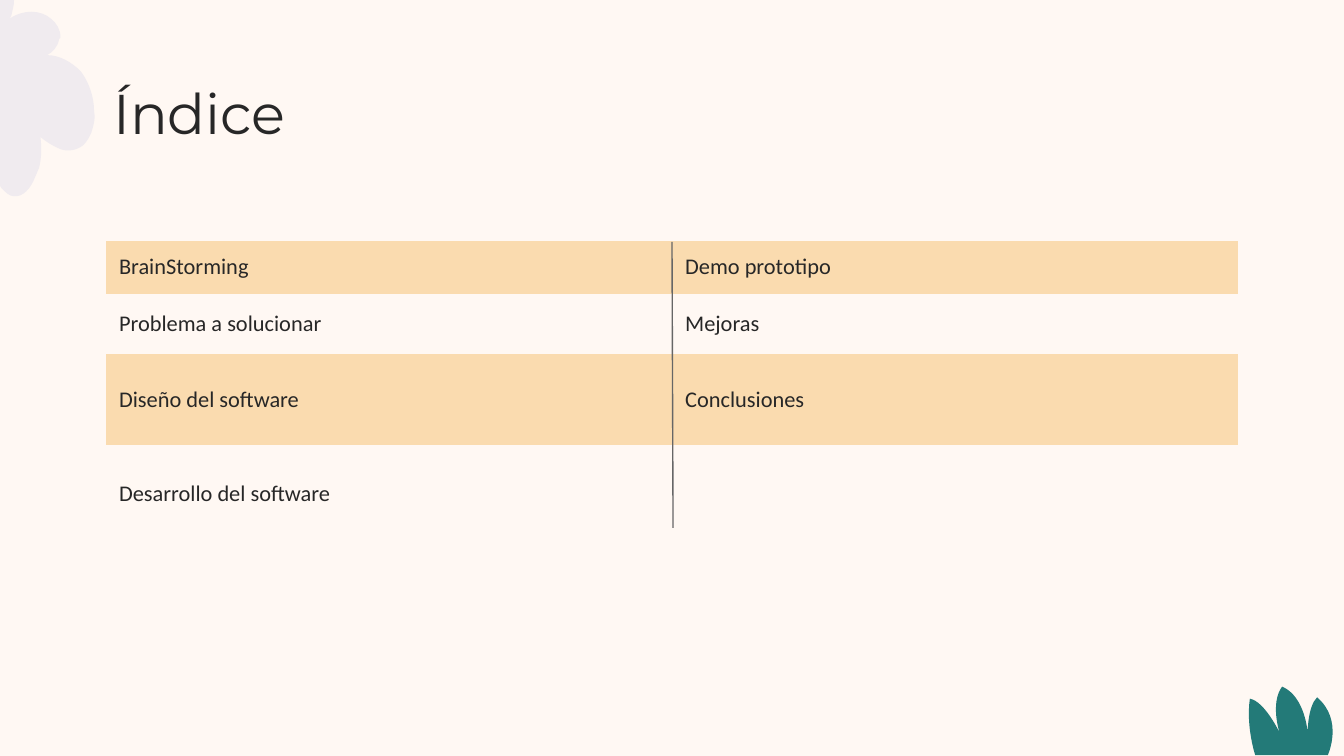
import math

import lxml.etree
import pptx
import pptx.dml.color
import pptx.enum.shapes
import pptx.enum.text
import pptx.oxml.ns
import pptx.util

CREAM, INK, PEACH = "FFF8F3", "272727", "FADBAF"
TEAL, LILAC, GREY = "237A78", "9CA4DB", "666666"
NO_GRID_STYLE = "{2D5ABB26-0587-4C30-8999-92F81FD0307C}"
OUTLINE_UNIT = 0.0254  # outlines are in hundredths of an inch

# Each outline: a start point, then (x, y) lines or (x1, y1, x2, y2, x, y) curves.
LEAVES = [
    (954, 511), (971, 518, 973, 545, 973, 545), (973, 545, 973, 526, 980, 519),
    (1000, 536, 988, 562, 988, 562), (934, 562), (934, 562, 927, 541, 930, 520),
    (930, 520), (941, 522, 952, 545, 952, 545), (952, 545, 945, 523, 954, 511),
]
FLOWER = [
    (69, 95), (70, 91, 71, 87, 70, 83), (70, 72, 66, 61, 60, 53),
    (53, 46, 44, 41, 35, 41), (39, 39, 43, 35, 44, 29), (44, 29, 44, 28, 45, 28),
    (45, 22, 42, 17, 38, 14), (30, 7, 17, 7, 7, 14), (8, 13, 9, 11, 9, 9),
    (10, 5, 11, 1, 10, -3), (9, -9, 4, -13, 0, -12), (-6, -12, -9, -5, -12, 0),
    (-15, 7, -21, 23, -25, 35), (-27, 42, -28, 48, -27, 51),
    (-33, 66, -38, 81, -42, 94), (-46, 108, -47, 120, -46, 126),
    (-44, 135, -38, 143, -30, 144), (-20, 145, -11, 135, -7, 124),
    (-7, 123, -7, 123, -7, 123), (-5, 129, -2, 135, 1, 140),
    (4, 143, 7, 146, 10, 146), (17, 147, 23, 140, 26, 132),
    (27, 130, 28, 127, 29, 125), (31, 117, 31, 109, 30, 102),
    (35, 106, 40, 109, 45, 111), (50, 113, 57, 112, 62, 108),
    (65, 105, 68, 100, 69, 95),
]
TOPICS = [
    ("BrainStorming", "Demo prototipo"),
    ("Problema a solucionar", "Mejoras"),
    ("Diseño del software", "Conclusiones"),
    ("Desarrollo del software", ""),
]
ROW_HEIGHTS = [1, 1.14, 1.73, 1.83]


def color(hex_value):
    return pptx.dml.color.RGBColor.from_string(hex_value)


def add_xml(parent, tag, **attributes):
    return lxml.etree.SubElement(parent, pptx.oxml.ns.qn(tag), attributes)


class IndexSlide:
    title_font, body_font = "Montserrat", "Calibri"

    def __init__(self, presentation):
        self.slide = presentation.slides.add_slide(presentation.slide_layouts[5])
        self.shapes = self.slide.shapes
        background = self.slide.background.fill
        background.solid()
        background.fore_color.rgb = color(CREAM)

    def format_text(self, paragraph, font_name, size):
        paragraph.alignment = pptx.enum.text.PP_ALIGN.LEFT
        for font in [paragraph.font] + [run.font for run in paragraph.runs]:
            font.name = font_name
            font.size = pptx.util.Pt(size)
            font.color.rgb = color(INK)

    def ornament(self, outline, frame, fill, rotation=0, opacity=100):
        """Draw a curved outline, given as it looks after the frame is rotated."""
        left, top, width, height = (pptx.util.Cm(length) for length in frame)
        builder = self.shapes.build_freeform(left, top)
        builder.add_line_segments([(left + width, top), (left + width, top + height)])
        shape = builder.convert_to_shape()
        shape.rotation = rotation
        shape.shadow.inherit = False
        shape.line.fill.background()
        shape.fill.solid()
        shape.fill.fore_color.rgb = color(fill)
        if opacity < 100:
            tint = shape._element.spPr.find(".//" + pptx.oxml.ns.qn("a:srgbClr"))
            add_xml(tint, "a:alpha", val=str(opacity * 1000))

        cos, sin = math.cos(math.radians(rotation)), math.sin(math.radians(rotation))
        curve = shape._element.spPr.find(".//" + pptx.oxml.ns.qn("a:path"))
        for step in list(curve):
            curve.remove(step)
        for index, segment in enumerate(outline):
            tag = "a:cubicBezTo" if len(segment) == 6 else "a:lnTo"
            step = add_xml(curve, tag if index else "a:moveTo")
            for x, y in zip(segment[::2], segment[1::2]):
                dx = pptx.util.Cm(x * OUTLINE_UNIT) - left - width / 2
                dy = pptx.util.Cm(y * OUTLINE_UNIT) - top - height / 2
                add_xml(step, "a:pt", x=str(round(width / 2 + dx * cos + dy * sin)),
                        y=str(round(height / 2 - dx * sin + dy * cos)))
        add_xml(curve, "a:close")

    def title(self, text, left, top, width, height):
        heading = self.shapes.title
        heading.left, heading.top = pptx.util.Cm(left), pptx.util.Cm(top)
        heading.width, heading.height = pptx.util.Cm(width), pptx.util.Cm(height)
        frame = heading.text_frame
        frame.text = text
        frame.word_wrap = True
        frame.auto_size = pptx.enum.text.MSO_AUTO_SIZE.NONE
        frame.vertical_anchor = pptx.enum.text.MSO_ANCHOR.TOP
        frame.margin_left = frame.margin_right = pptx.util.Cm(0.25)
        frame.margin_top = frame.margin_bottom = pptx.util.Cm(0.25)
        self.format_text(frame.paragraphs[0], self.title_font, 30)

    def topic_table(self, topics, left, top, column_width, heights):
        columns = len(topics[0])
        table = self.shapes.add_table(
            len(topics), columns, pptx.util.Cm(left), pptx.util.Cm(top),
            pptx.util.Cm(column_width * columns), pptx.util.Cm(sum(heights))).table
        table.first_row = table.horz_banding = False
        table._tbl.tblPr.find(pptx.oxml.ns.qn("a:tableStyleId")).text = NO_GRID_STYLE
        for row_index, (row, height) in enumerate(zip(topics, heights)):
            table.rows[row_index].height = pptx.util.Cm(height)
            for column, topic in enumerate(row):
                cell = table.cell(row_index, column)
                cell.text_frame.text = topic
                cell.vertical_anchor = pptx.enum.text.MSO_ANCHOR.MIDDLE
                cell.margin_left = cell.margin_right = pptx.util.Cm(0.25)
                cell.margin_top = cell.margin_bottom = 0
                self.format_text(cell.text_frame.paragraphs[0], self.body_font, 12)
                if column == columns - 1 and row_index != 2:
                    self.right_border(cell, CREAM, 0.75)
                if row_index % 2 == 0:
                    cell.fill.solid()
                    cell.fill.fore_color.rgb = color(PEACH)
                else:
                    cell.fill.background()

    def right_border(self, cell, border_color, width):
        border = add_xml(cell._tc.get_or_add_tcPr(), "a:lnR",
                         w=str(pptx.util.Pt(width)))
        add_xml(add_xml(border, "a:solidFill"), "a:srgbClr", val=border_color)

    def divider(self, *ends):
        rule = self.shapes.add_connector(
            pptx.enum.shapes.MSO_CONNECTOR.STRAIGHT,
            *(pptx.util.Cm(length) for length in ends))
        rule.line.color.rgb = color(GREY)
        rule.line.width = pptx.util.Pt(0.75)
        add_xml(rule._element.spPr, "a:effectLst")


def main():
    presentation = pptx.Presentation()
    presentation.slide_width = pptx.util.Cm(25.4)
    presentation.slide_height = pptx.util.Cm(14.29)
    index = IndexSlide(presentation)
    index.ornament(LEAVES, (23.55, 12.98, 1.85, 1.31), TEAL)
    index.ornament(FLOWER, (-1.57, 0.53, 4.11, 2.74), LILAC, rotation=105, opacity=15)
    index.title("Índice", 1.89, 1.24, 21.41, 1.6)
    index.topic_table(TOPICS, 2, 4.55, 10.7, ROW_HEIGHTS)
    index.divider(12.7, 4.57, 12.72, 9.98)
    presentation.save("out.pptx")


if __name__ == "__main__":
    main()
